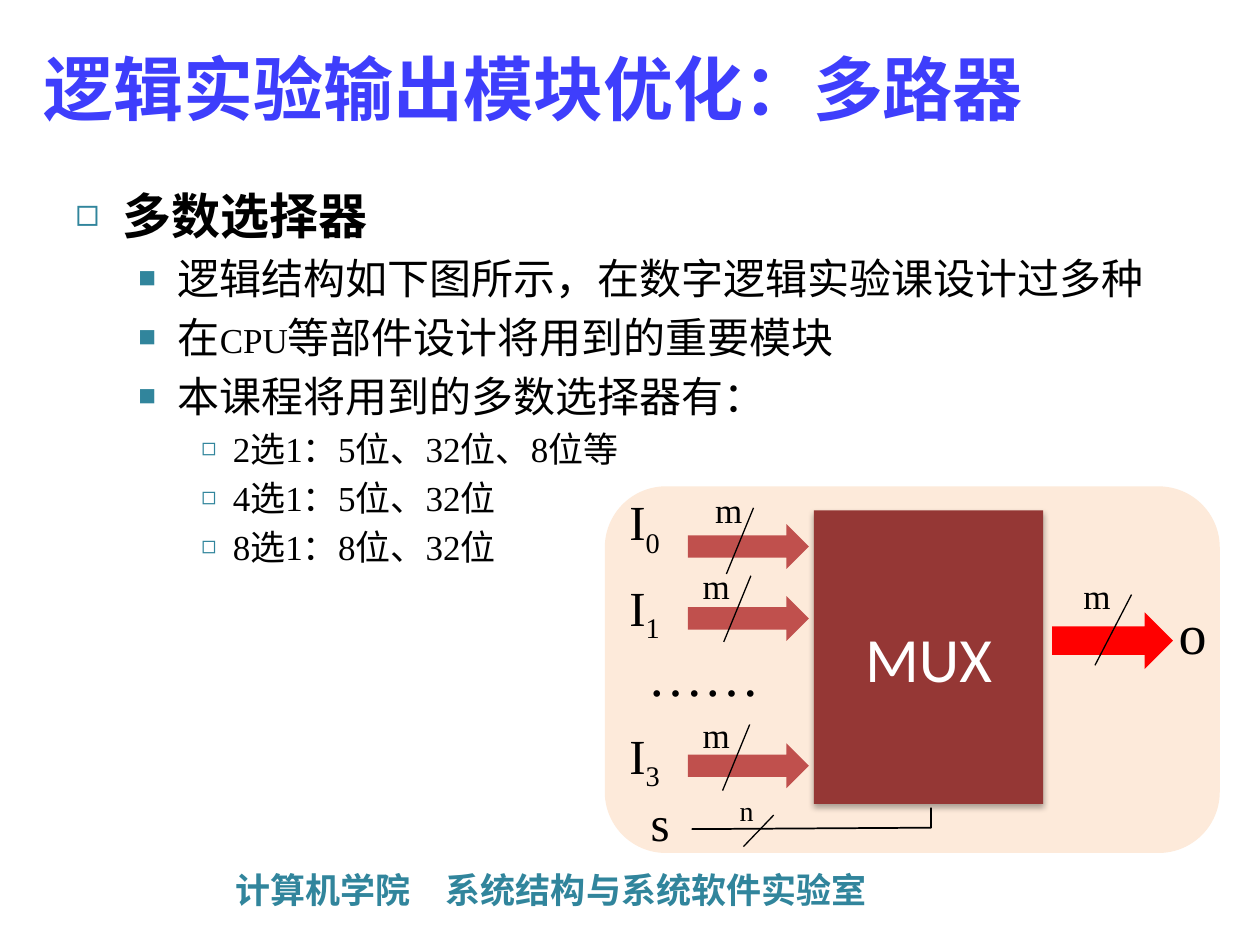
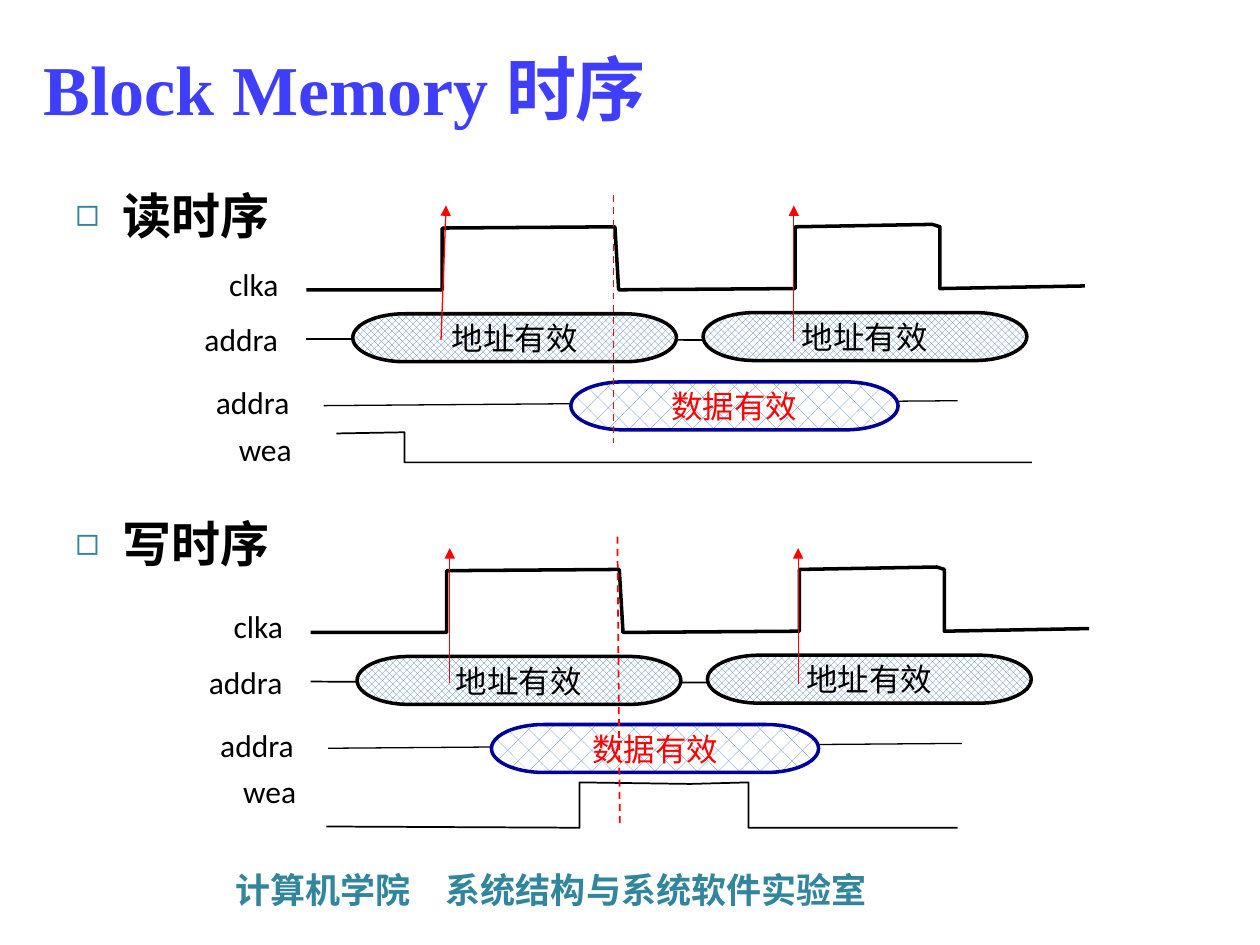
from lxml import etree
from pptx import Presentation
from pptx.dml.color import RGBColor
from pptx.enum import dml, shapes, text
from pptx.oxml import ns
from pptx.util import Pt

# Shared look
BLUE, TEAL, BLACK, WHITE, RED = "3E3EFC", "31859C", "000000", "FFFFFF", "FF0000"
PEACH, MAROON, BRICK, NAVY, HATCH = "FDEADA", "953735", "C0504D", "000099", "4F81BD"
SERIF, SANS, CJK = "Times New Roman", "Calibri", "Noto Sans CJK SC"
FOOTER = "计算机学院　系统结构与系统软件实验室"

# Outline levels: size, bold, indent, hanging, bullet, bullet size %, line pitch, space before
LEVELS = [
    (28, True, 27, 27, "◻", 80, 36, 5.6),
    (24, False, 58.5, 22.5, "■", 70, 28.8, 4.8),
    (20, False, 90, 18, "◻", 70, 24, 4),
]

# Slide 1: outline rows are level, then runs of (text, own size or None)
MUX_TITLE = "逻辑实验输出模块优化：多路器"
MUX_OUTLINE = [
    (0, [("多数选择器", None)]),
    (1, [("逻辑结构如下图所示，在数字逻辑实验课设计过多种", None)]),
    (1, [("在", None), ("CPU", 20), ("等部件设计将用到的重要模块", None)]),
    (1, [("本课程将用到的多数选择器有：", None)]),
    (2, [("2选1：5位、32位、8位等", None)]),
    (2, [("4选1：5位、32位", None)]),
    (2, [("8选1：8位、32位", None)]),
]
# Inputs: index, label top, arrow top, width mark left and top, slash start
MUX_INPUTS = [
    ("0", 285.1, 299.5, (389.5, 276.3), (430.6, 290.2)),
    ("1", 334.1, 340.6, (382.3, 319.7), (429.1, 329)),
    ("3", 418.3, 424.8, (382.3, 404.6), (428.4, 414)),
]
# Other labels: text, left, top, width, height, size
MUX_LABELS = [
    ("m", 599.8, 325.4, 54, 30.2, 20),
    ("s", 337.7, 454.3, 79.2, 30.2, 28),
    ("o", 654.5, 346.3, 54, 30.2, 32),
    ("……", 342.7, 376.6, 118.8, 17.3, 32),
    ("n", 399.6, 447.8, 54, 30.2, 16),
]

# Slide 2: what both timing diagrams share
TIMING_TITLE = "Block Memory 时序"
TIMING_OUTLINE = [(0, [("读时序", None)]), (0, [("写时序", None)])]
TIMING_GAP = 151.5
CLOCK = [(175, 165.6), (252.7, 165.6), (252.7, 130.3), (351.4, 129.6),
         (353.5, 165.6), (454.3, 164.9), (454.3, 129.6), (532.8, 128.2),
         (537.1, 129.6), (537.1, 164.9), (619.9, 163.4)]
ADDRESS_LINE = [(175, 193.7), (465, 194.4)]
DATA_LINE = [(185, 231.8), (547.2, 229)]
ADDRESSES = [(201.6, 179.3), (401.8, 178.6)]
SIGNALS = [("clka", 145.1, 147.6), ("addra", 137.9, 179.3),
           ("addra", 144.4, 215.3), ("wea", 151.6, 241.9)]
SECOND_EDGE = [(453.6, 195.1), (453.6, 117.4)]
# What differs, measured from each diagram's own offset
TIMINGS = [
    dict(offset=(0, 0), data_left=326.2,
         first_edge=[(252, 194.4), (254.9, 117.4)],
         sample=[(350.6, 111.6), (350.6, 253.4)],
         wea=[(192.2, 247.7), (231.1, 247), (231.1, 264.2), (589.7, 264.2)]),
    dict(offset=(2.5, 195.8), data_left=278.3,
         first_edge=[(254.5, 194.4), (254.5, 117.4)],
         sample=[(350.3, 110.9), (351.7, 277.2)],
         wea=[(184, 276.5), (328.7, 277.2), (328.7, 251.3), (392, 252.2),
              (425.2, 251.3), (425.2, 277.2), (544.7, 277.2)]),
]


def rgb(value):
    return RGBColor.from_string(value)


def sub(parent, tag, **attrs):
    el = etree.SubElement(parent, ns.qn(tag))
    for key, value in attrs.items():
        el.set(key, str(value))
    return el


def add_run(p, words, size, color=BLACK, bold=False, font=SERIF, east=CJK):
    r = p.add_run()
    r.text = words
    for key, value in dict(size=Pt(size), bold=bold, name=font).items():
        setattr(r.font, key, value)
    r.font.color.rgb = rgb(color)
    sub(r.font._element, "a:ea", typeface=east)
    return r


def add_box(s, left, top, width, height, anchor=text.MSO_ANCHOR.TOP):
    tf = s.shapes.add_textbox(*map(Pt, (left, top, width, height))).text_frame
    tf.word_wrap, tf.vertical_anchor = True, anchor
    return tf


def add_line_of_text(s, place, words, size, color, pitch, font, anchor):
    p = add_box(s, *place, anchor=anchor).paragraphs[0]
    p.line_spacing = Pt(pitch)
    add_run(p, words, size, color, True, font)


def add_outline(s, rows, gap=None):
    tf = add_box(s, 36, 100, 648, 391)
    for i, (level, runs) in enumerate(rows):
        size, bold, indent, hang, bullet, percent, pitch, before = LEVELS[level]
        p = tf.paragraphs[0] if i == 0 else tf.add_paragraph()
        p.level, p.line_spacing = level, Pt(pitch)
        if i:
            p.space_before = Pt(gap or before)
        pPr = p._p.get_or_add_pPr()
        pPr.set("marL", str(Pt(indent)))
        pPr.set("indent", str(-Pt(hang)))
        sub(sub(pPr, "a:buClr"), "a:srgbClr", val=TEAL)
        sub(pPr, "a:buSzPct", val=percent * 1000)
        sub(pPr, "a:buFont", typeface=SERIF)
        sub(pPr, "a:buChar", char=bullet)
        for words, own_size in runs:
            add_run(p, words, own_size or size, bold=bold)


def add_block(s, kind, left, top, width, height, fill=None):
    sp = s.shapes.add_shape(kind, *map(Pt, (left, top, width, height)))
    sp.shadow.inherit = False
    sp.line.fill.background()
    if fill:
        sp.fill.solid()
        sp.fill.fore_color.rgb = rgb(fill)
    else:
        sp.fill.background()
    return sp


def write_center(sp, words, size, color=BLACK, font=SERIF, lower=None):
    tf = sp.text_frame
    tf.vertical_anchor = text.MSO_ANCHOR.MIDDLE
    p = tf.paragraphs[0]
    p.alignment = text.PP_ALIGN.CENTER
    # The ellipsis counts as East Asian text, so serif labels name one font for both
    east = SERIF if font == SERIF else CJK
    add_run(p, words, size, color, font=font, east=east)
    if lower:
        r = add_run(p, lower, size, color, font=font, east=east)
        r.font._element.set("baseline", "-25000")


def add_label(s, words, left, top, width, height, size, font=SERIF, lower=None):
    sp = add_block(s, shapes.MSO_SHAPE.ROUNDED_RECTANGLE, left, top, width, height)
    write_center(sp, words, size, font=font, lower=lower)


def add_wire(s, points, width=0.75, color=BLACK, arrow=False, dash=False, offset=(0, 0)):
    """Two points make a connector, more make an open freeform."""
    points = [(Pt(x + offset[0]), Pt(y + offset[1])) for x, y in points]
    if len(points) == 2:
        sp = s.shapes.add_connector(shapes.MSO_CONNECTOR.STRAIGHT, *points[0], *points[1])
        sub(sp._element.spPr, "a:effectLst")
    else:
        trace = s.shapes.build_freeform(*points[0])
        trace.add_line_segments(points[1:], close=False)
        sp = trace.convert_to_shape()
        sp.shadow.inherit = False
        sp.fill.background()
    sp.line.width = Pt(width)
    sp.line.color.rgb = rgb(color)
    if dash:
        sp.line.dash_style = dml.MSO_LINE.DASH
    if arrow:
        sub(sp._element.spPr.find(ns.qn("a:ln")), "a:tailEnd", type="triangle")


def new_slide(prs, title):
    s = prs.slides.add_slide(prs.slide_layouts[6])
    add_line_of_text(s, (127.5, 491, 521.3, 31.7), FOOTER, 20, TEAL, 25.6, CJK,
                     text.MSO_ANCHOR.TOP)
    add_line_of_text(s, (18, 9.4, 620, 74.9), title, 40, BLUE, 54, SERIF,
                     text.MSO_ANCHOR.MIDDLE)
    return s


def draw_mux(s):
    kinds = shapes.MSO_SHAPE
    add_block(s, kinds.ROUNDED_RECTANGLE, 345.6, 277.9, 351.4, 209.5, PEACH)

    # Multiplexer body with its soft shadow
    body = add_block(s, kinds.RECTANGLE, 465.1, 291.6, 131, 167.8, MAROON)
    write_center(body, "MUX", 36, WHITE, SANS)
    shadow = sub(body._element.spPr.find(ns.qn("a:effectLst")), "a:outerShdw",
                 blurRad=Pt(3.5), dist=Pt(2.2), dir=5400000, rotWithShape=0)
    sub(sub(shadow, "a:srgbClr", val=BLACK), "a:alpha", val=32000)

    # Inputs
    for index, label_top, arrow_top, mark, (x, y) in MUX_INPUTS:
        add_block(s, kinds.RIGHT_ARROW, 393.1, arrow_top, 69.1, 25.6, BRICK)
        add_label(s, "I", 341.3, label_top, 54, 30.2, 28, lower=index)
        add_label(s, "m", *mark, 54, 30.2, 20)
        add_wire(s, [(x, y), (x - 15.5, y + 37.8)])

    # Output, select line and remaining labels
    add_block(s, kinds.RIGHT_ARROW, 601.2, 349.9, 69.1, 32.4, RED)
    add_wire(s, [(646.6, 339.8), (625.7, 380.2)])
    add_wire(s, [(395.3, 473.8), (532.1, 473), (532.1, 461.5)], 1)
    add_wire(s, [(442.1, 465.8), (424.8, 483.8)])
    for label in MUX_LABELS:
        add_label(s, *label)


def add_valid(s, words, left, top, width, pattern, line, color):
    sp = add_block(s, shapes.MSO_SHAPE.FLOWCHART_TERMINATOR, left, top, width, 27.4)
    sp.fill.patterned()
    sp.fill.pattern = dml.MSO_PATTERN.from_xml(pattern)
    sp.fill.fore_color.rgb, sp.fill.back_color.rgb = rgb(HATCH), rgb(WHITE)
    sp.line.color.rgb, sp.line.width = rgb(line), Pt(2)
    write_center(sp, words, 18, color, SANS)


def draw_timing(s, offset, data_left, first_edge, sample, wea):
    dx, dy = offset
    # Signal traces
    for points, width in ((DATA_LINE, 0.75), (ADDRESS_LINE, 1), (CLOCK, 2), (wea, 1)):
        add_wire(s, points, width, offset=offset)
    # Valid windows
    for left, top in ADDRESSES:
        add_valid(s, "地址有效", left + dx, top + dy, 185, "openDmnd", BLACK, BLACK)
    add_valid(s, "数据有效", data_left + dx, 218.2 + dy, 187, "dotDmnd", NAVY, RED)
    # Clock edges and sampling moment
    for edge in (first_edge, SECOND_EDGE):
        add_wire(s, edge, color=RED, arrow=True, offset=offset)
    add_wire(s, sample, 1, RED, dash=True, offset=offset)
    # Signal names
    for name, center, top in SIGNALS:
        add_label(s, name, center - 62 + dx, top + dy, 124, 28.8, 18, SANS)


def main():
    prs = Presentation()
    prs.slide_width, prs.slide_height = Pt(720), Pt(540)

    s = new_slide(prs, MUX_TITLE)
    add_outline(s, MUX_OUTLINE)
    draw_mux(s)

    s = new_slide(prs, TIMING_TITLE)
    add_outline(s, TIMING_OUTLINE, TIMING_GAP)
    for timing in TIMINGS:
        draw_timing(s, **timing)

    prs.save("out.pptx")


if __name__ == "__main__":
    main()
